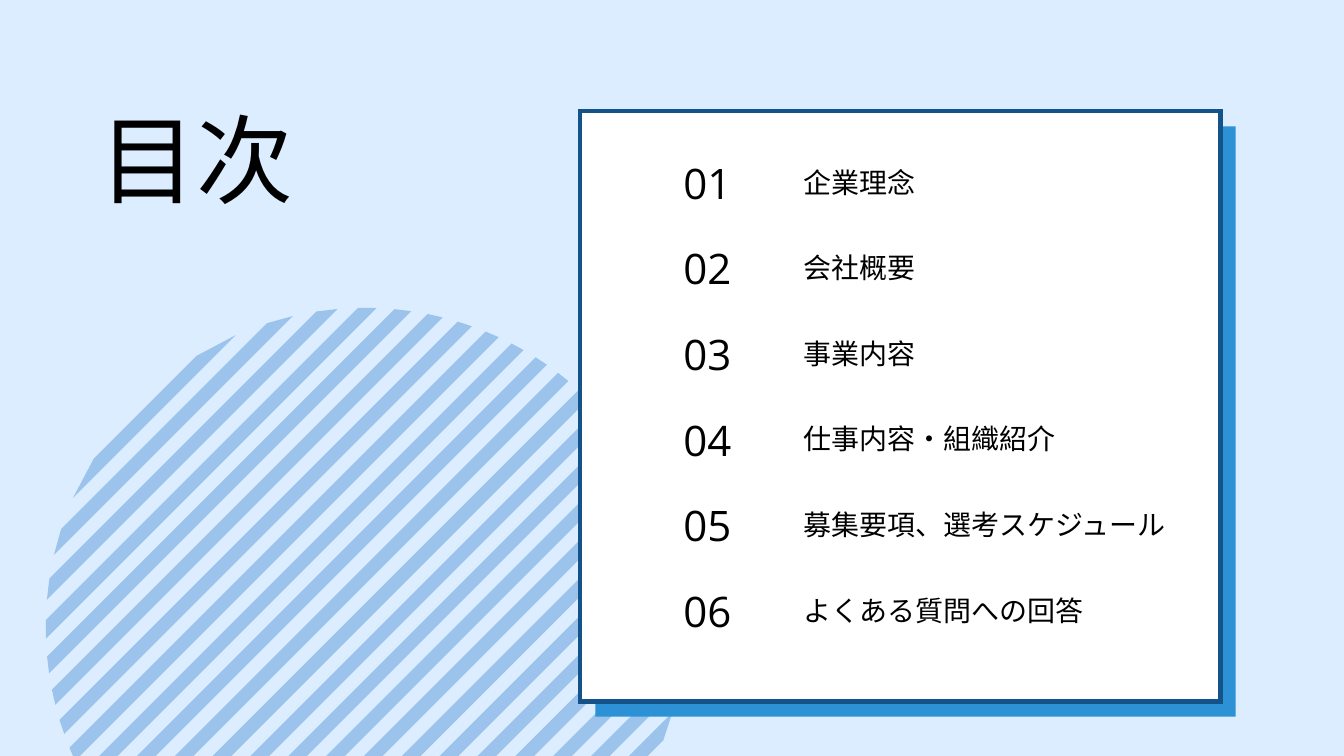
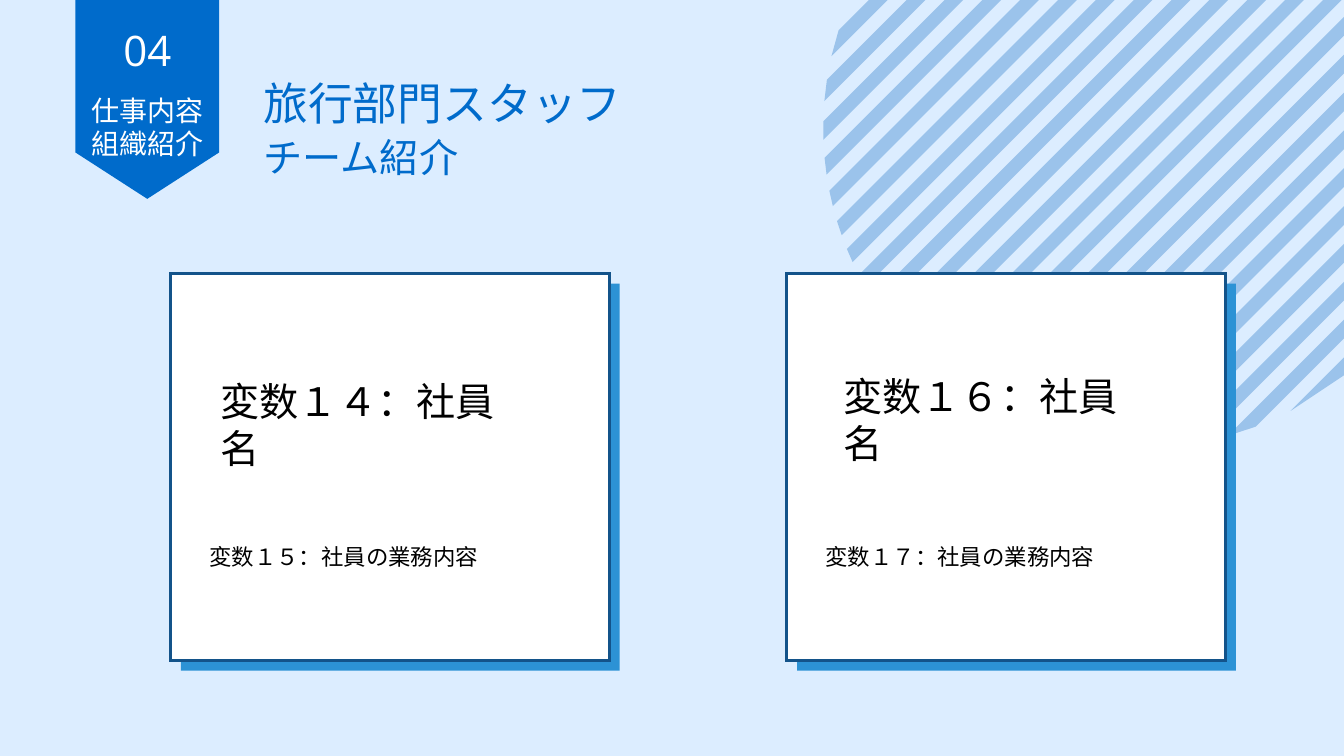
from math import sqrt

from pptx import Presentation
from pptx.dml.color import RGBColor
from pptx.enum.shapes import MSO_SHAPE as Preset
from pptx.enum.text import MSO_AUTO_SIZE as AutoSize, PP_ALIGN as Align
from pptx.oxml.xmlchemy import OxmlElement
from pptx.util import Pt

SKY = RGBColor(0xDC, 0xED, 0xFF)
STRIPE = RGBColor(0x9B, 0xC3, 0xEB)
SHADOW = RGBColor(0x2C, 0x92, 0xD5)
NAVY = RGBColor(0x13, 0x53, 0x8A)
BLUE = RGBColor(0x00, 0x6B, 0xCB)
WHITE = RGBColor(0xFF, 0xFF, 0xFF)
BLACK = RGBColor(0x00, 0x00, 0x00)

NUMBER_SIZE = (150.5, 54)
AGENDA = ["企業理念", "会社概要", "事業内容", "仕事内容・組織紹介",
          "募集要項、選考スケジュール", "よくある質問への回答"]
STAFF = [
    (182.9, (236.2, 404.6), "変数１４：社員名", "変数１５：社員の業務内容"),
    (843.1, (903.6, 398.9), "変数１６：社員名", "変数１７：社員の業務内容"),
]


class Deck:
    """Hold the shared style and draw on the current slide."""

    text_styles = {
        "title": {"name": "Calibri", "size": 103.9, "leading": 124.7},
        "number": {"name": "Open Sans", "size": 45, "leading": 54},
        "label": {"name": "Calibri", "size": 30, "leading": 36},
        "heading": {"name": "Calibri", "size": 48, "leading": 57.6},
        "subheading": {"name": "Calibri", "size": 42, "leading": 50.4},
        "body": {"name": "Calibri", "size": 24, "leading": 36},
    }
    frame_format = {"margin_left": 0, "margin_top": 0, "margin_right": 0, "margin_bottom": 0,
                    "word_wrap": True, "auto_size": AutoSize.SHAPE_TO_FIT_TEXT}
    disc_radius = 342
    stripe_count, stripe_start, stripe_pitch, stripe_width = 24, -471, 40.55, 20

    def __init__(self):
        self.presentation = Presentation()
        self.presentation.slide_width = Pt(1440)
        self.presentation.slide_height = Pt(810)
        self.slide = None

    def new_slide(self):
        """Start a slide on the shared background."""
        self.slide = self.presentation.slides.add_slide(self.presentation.slide_layouts[6])
        fill = self.slide.background.fill
        fill.solid()
        fill.fore_color.rgb = SKY

    def paint(self, shape, color):
        """Give a shape a flat fill without line or shadow."""
        shape.shadow.inherit = False
        shape.fill.solid()
        shape.fill.fore_color.rgb = color
        shape.line.fill.background()
        return shape

    def outline(self, contours, color):
        """Draw closed contours as one filled shape."""
        contours = [[(Pt(x), Pt(y)) for x, y in contour] for contour in contours]
        builder = self.slide.shapes.build_freeform(*contours[0][0])
        for index, contour in enumerate(contours):
            if index:
                builder.move_to(*contour[0])
            builder.add_line_segments(contour[1:], close=True)
        return self.paint(builder.convert_to_shape(), color)

    def striped_disc(self, center_x, center_y):
        """Draw a disc made of diagonal stripes."""
        def chord(offset):
            half = sqrt(self.disc_radius ** 2 - offset ** 2 / 2) / sqrt(2)
            return [(center_x + offset / 2 + side * half, center_y + offset / 2 - side * half)
                    for side in (-1, 1)]

        starts = [self.stripe_start + index * self.stripe_pitch
                  for index in range(self.stripe_count)]
        self.outline([chord(start) + chord(start + self.stripe_width)[::-1]
                      for start in starts], STRIPE)

    def rectangle(self, left, top, width, height, color):
        """Draw a flat rectangle."""
        shape = self.slide.shapes.add_shape(
            Preset.RECTANGLE, Pt(left), Pt(top), Pt(width), Pt(height))
        return self.paint(shape, color)

    def card(self, left, top, width, height, offset, border):
        """Draw a white framed card over its offset backing."""
        self.rectangle(left + offset, top + offset, width, height, SHADOW)
        face = self.rectangle(left, top, width, height, WHITE)
        face.line.color.rgb = NAVY
        face.line.width = Pt(border)
        miter = OxmlElement("a:miter")
        miter.set("lim", "800000")
        face.line.fill._xPr.append(miter)

    def text(self, position, size, lines, style, color=BLACK, align=Align.LEFT):
        """Place lines of text in one of the shared styles."""
        box = self.slide.shapes.add_textbox(*map(Pt, position + size))
        frame = box.text_frame
        for name, value in self.frame_format.items():
            setattr(frame, name, value)
        look = self.text_styles[style]
        frame.text = lines
        for paragraph in frame.paragraphs:
            formats = [
                (paragraph, {"alignment": align, "line_spacing": Pt(look["leading"])}),
                (paragraph.font, {"name": look["name"], "size": Pt(look["size"])}),
                (paragraph.font.color, {"rgb": color}),
            ]
            for target, values in formats:
                for name, value in values.items():
                    setattr(target, name, value)

    def section_ribbon(self, number, lines):
        """Draw the pointed section ribbon at the top edge."""
        left, middle, right = 80.8, 157.8, 234.8
        self.outline([[(left, -13), (left, 163.4), (middle, 213.1),
                       (right, 163.4), (right, -13)]], BLUE)
        self.text((82.7, 26.6), NUMBER_SIZE, number, "number", WHITE, Align.CENTER)
        self.text((82.7, 100.1), (150.5, 105.8), lines, "label", WHITE, Align.CENTER)


def build_agenda(deck):
    """Build the table of contents."""
    deck.new_slide()
    deck.striped_disc(391, 671.8)
    deck.card(621.4, 118.9, 686, 632.4, 16.5, 5)
    for index, label in enumerate(AGENDA):
        shift = index * 91.7
        deck.text((682.6, 168.6 + shift), NUMBER_SIZE, f"{index + 1:02}", "number",
                  align=Align.CENTER)
        deck.text((861.1, 177 + shift), (401.8, 36.7), label, "label")
    deck.text((106.6, 106.6), (246.2, 124.6), "目次", "title")


def build_staff(deck):
    """Build the staff introduction."""
    deck.new_slide()
    deck.striped_disc(1224, 137.4)
    for left, name_position, name, duty in STAFF:
        deck.card(left, 293, 470.2, 414.7, 10.9, 3.3)
        deck.text(name_position, (300.2, 100.8), name, "subheading")
        deck.text((left + 41.4, 574.6), (383, 33.8), duty, "body", align=Align.JUSTIFY)
    deck.section_ribbon("04", "仕事内容\n組織紹介")
    deck.text((282.2, 80.6), (458.6, 56.9), "旅行部門スタッフ", "heading", BLUE)
    deck.text((282.2, 142.6), (458.6, 50.4), "チーム紹介", "subheading", BLUE)


def main():
    """Build and save both slides."""
    deck = Deck()
    build_agenda(deck)
    build_staff(deck)
    deck.presentation.save("out.pptx")


if __name__ == "__main__":
    main()
